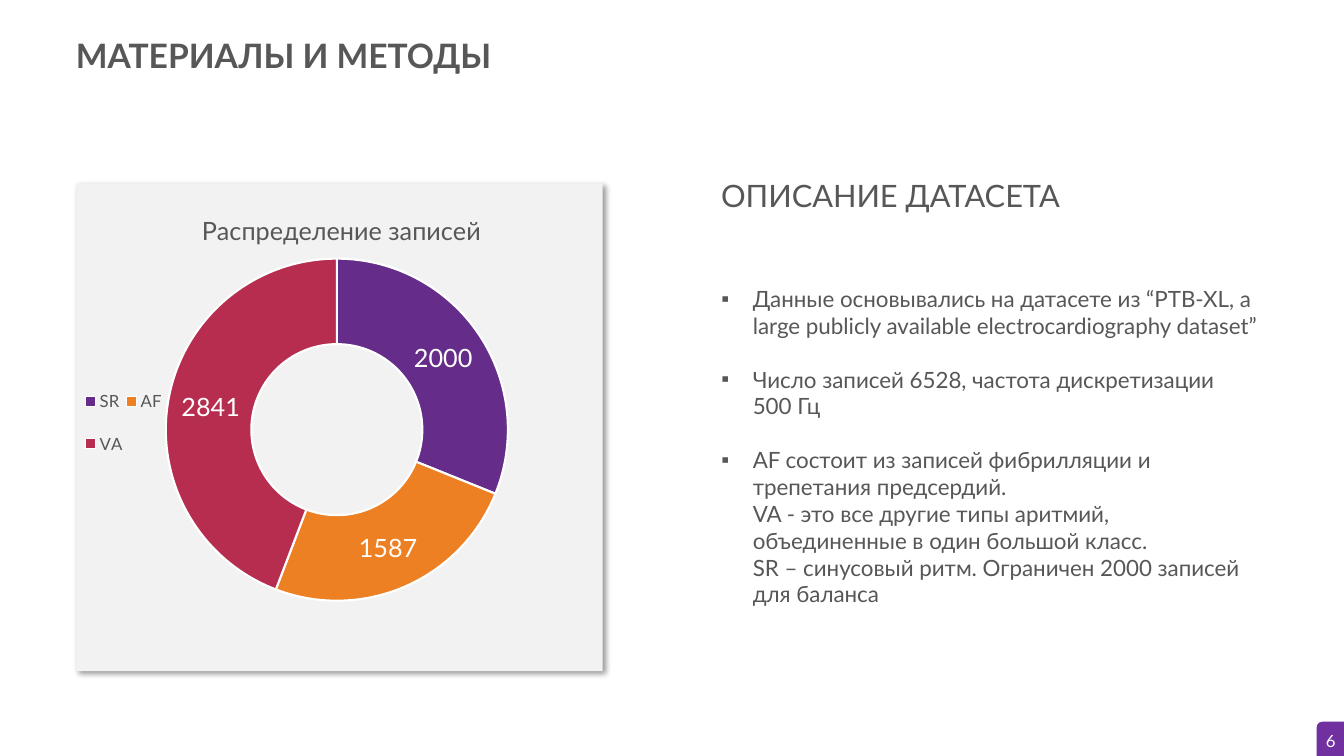
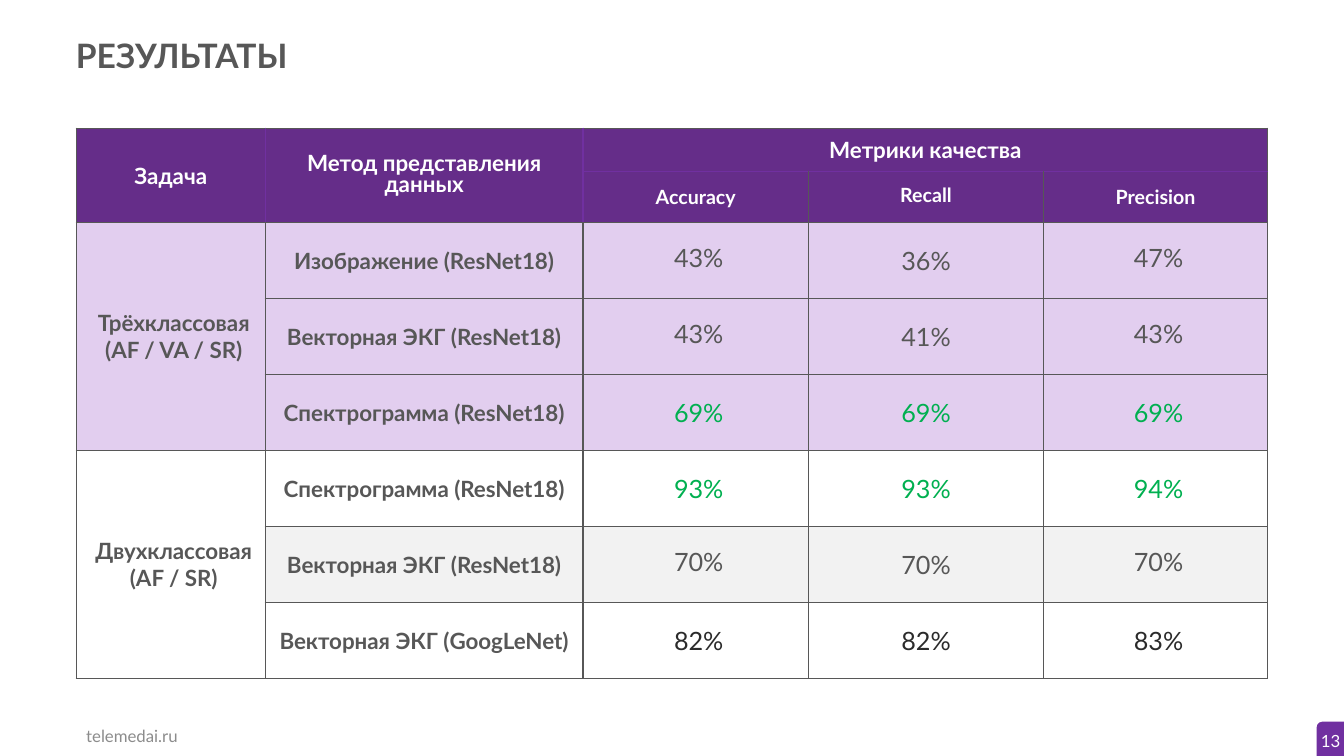
import copy

import pptx
import pptx.chart.data
import pptx.dml.color
import pptx.enum.chart
import pptx.enum.shapes
import pptx.enum.text
import pptx.oxml
import pptx.oxml.ns
import pptx.util

Pt = pptx.util.Pt
qn = pptx.oxml.ns.qn
Align = pptx.enum.text.PP_ALIGN
Anchor = pptx.enum.text.MSO_ANCHOR
Shape = pptx.enum.shapes.MSO_SHAPE

FONT = "Lato"
GREY, DARK, FOOT, PALE, WHITE = "575757", "2B2B2B", "8C8C8C", "F2F2F2", "FFFFFF"
PURPLE, BADGE, LILAC = "652D89", "7030A0", "E2CEEF"
ORANGE, RED, GREEN = "ED8023", "B62D50", "00B050"
LEFT, WIDTH = 54.5, 851
HALF = 508, 398


def color(code):
    return pptx.dml.color.RGBColor.from_string(code)


def node(tag, **attrs):
    item = pptx.oxml.parse_xml(f"<{tag} {pptx.oxml.ns.nsdecls(tag.split(':')[0])}/>")
    for name, value in attrs.items():
        item.set(name, str(value))
    return item


def set_font(font, size, tint=GREY, bold=False):
    font.name, font.size, font.bold = FONT, Pt(size), bold
    font.color.rgb = color(tint)


def place(item, index, **parts):
    """Give a chart part a manual layout, as shares of the chart area."""
    for old in item.findall(qn("c:layout")):
        item.remove(old)
    layout, manual = node("c:layout"), node("c:manualLayout")
    for name, value in parts.items():
        manual.append(node(f"c:{name}", val=value))
    layout.append(manual)
    item.insert(index, layout)


class Deck:
    def __init__(self):
        self.file = pptx.Presentation()
        self.file.slide_width, self.file.slide_height = Pt(960), Pt(540)
        self.slide = None

    def start(self, layout, title, number):
        self.slide = self.file.slides.add_slide(self.file.slide_layouts[layout])
        self.fill(self.slide.shapes.title, (47, 0, 739, 78.5), title, 24,
                  bold=True, anchor=Anchor.MIDDLE)
        self.badge(number)

    def format(self, frame, size, tint=GREY, bold=False, align=Align.LEFT, line=None):
        for par in frame.paragraphs:
            par.alignment = align
            par.space_before = Pt(0)
            if line:
                par.line_spacing = line
            for run in par.runs:
                set_font(run.font, size, tint, bold)
            for gap in par._p.findall(qn("a:br")):
                gap.append(copy.deepcopy(par.runs[0]._r.rPr))

    def fill(self, shape, box, text, size, tint=GREY, bold=False, anchor=Anchor.TOP):
        shape.left, shape.top, shape.width, shape.height = map(Pt, box)
        frame = shape.text_frame
        frame.text = text
        frame.word_wrap = True
        frame.auto_size = pptx.enum.text.MSO_AUTO_SIZE.NONE
        frame.vertical_anchor = anchor
        self.format(frame, size, tint, bold)

    def label(self, box, text, size, tint=GREY, anchor=Anchor.TOP):
        shape = self.slide.shapes.add_textbox(*map(Pt, box))
        self.fill(shape, box, text, size, tint, anchor=anchor)

    def block(self, kind, box, tint):
        shape = self.slide.shapes.add_shape(kind, *map(Pt, box))
        shape.fill.solid()
        shape.fill.fore_color.rgb = color(tint)
        shape.line.fill.background()
        shape.shadow.inherit = False
        return shape

    def badge(self, number):
        """Page number on a tab that runs past the slide corner."""
        shape = self.block(Shape.ROUNDED_RECTANGLE, (940.5, 515.5, 24, 29), BADGE)
        frame = shape.text_frame
        frame.margin_left = frame.margin_top = 0
        frame.margin_right, frame.margin_bottom = Pt(4), Pt(2)
        frame.vertical_anchor = Anchor.MIDDLE
        frame.text = str(number)
        self.format(frame, 12, WHITE, align=Align.CENTER)

    def panel(self, box):
        shape = self.block(Shape.RECTANGLE, box, PALE)
        shadow = node("a:outerShdw", blurRad=Pt(4), dist=Pt(3), dir=45 * 60000,
                      algn="tl", rotWithShape=0)
        black = node("a:srgbClr", val="000000")
        black.append(node("a:alpha", val=40000))
        shadow.append(black)
        shape._element.spPr.find(qn("a:effectLst")).append(shadow)

    def points(self, box, items):
        body = self.slide.placeholders[1]
        self.fill(body, box, "", 16)
        frame = body.text_frame
        for index, item in enumerate(items):
            par = frame.add_paragraph() if index else frame.paragraphs[0]
            par.text = item
            props = par._p.get_or_add_pPr()
            props.set("marL", str(Pt(22.5)))
            props.set("indent", str(Pt(-22.5)))
            props.append(node("a:buFont", typeface="Arial"))
            props.append(node("a:buChar", char="▪"))
        self.format(frame, 16)
        for par in frame.paragraphs[1:]:
            par.space_before = Pt(19.2)

    def ring(self, box, title, shares):
        data = pptx.chart.data.CategoryChartData()
        data.categories = [name for name, _, _ in shares]
        data.add_series("Series 1", [value for _, value, _ in shares])
        kind = pptx.enum.chart.XL_CHART_TYPE.DOUGHNUT
        chart = self.slide.shapes.add_chart(kind, *map(Pt, box), data).chart
        set_font(chart.font, 10)

        chart.has_title = True
        frame = chart.chart_title.text_frame
        frame.text = title
        set_font(frame.paragraphs[0].runs[0].font, 18)
        place(chart.chart_title._element, 1, xMode="edge", yMode="edge", x=0.23, y=0.05)

        chart.has_legend = True
        chart.legend.position = pptx.enum.chart.XL_LEGEND_POSITION.LEFT
        chart.legend.include_in_layout = False
        set_font(chart.legend.font, 12)
        place(chart.legend._element, 1, xMode="edge", yMode="edge",
              x=0.01, y=0.38, w=0.16, h=0.22)

        plot = chart.plots[0]
        plot.vary_by_categories = True
        plot._element.find(qn("c:holeSize")).set("val", "47")
        place(plot._element.getparent(), 0, layoutTarget="inner", xMode="edge",
              yMode="edge", x=0.17, y=0.14, w=0.65, h=0.73)
        plot.has_data_labels = True
        plot.data_labels.show_value = True
        plot.data_labels.show_percentage = False
        set_font(plot.data_labels.font, 18, WHITE)
        for index, (_, _, tint) in enumerate(shares):
            look = plot.series[0].points[index].format
            look.fill.solid()
            look.fill.fore_color.rgb = color(tint)
            look.line.color.rgb = color(WHITE)
            look.line.width = Pt(1.5)

    def grid(self, left, top, widths, heights):
        shape = self.slide.shapes.add_table(
            len(heights), len(widths), Pt(left), Pt(top), Pt(sum(widths)), Pt(sum(heights)))
        table = shape.table
        table.first_row = table.horz_banding = False
        for column, width in zip(table.columns, widths):
            column.width = Pt(width)
        for row, height in zip(table.rows, heights):
            row.height = Pt(height)
        return table

    def cell(self, table, row, col, text, size, tint, bold, back, line=None):
        cell = table.cell(row, col)
        self.edge(cell, row, col)
        if back:
            cell.fill.solid()
            cell.fill.fore_color.rgb = color(back)
        else:
            cell.fill.background()
        wide = row > 1 and col % 2 == 0
        cell.margin_left = Pt(7.2 if wide else 3)
        cell.margin_right = cell.margin_top = cell.margin_bottom = Pt(3)
        cell.vertical_anchor = Anchor.MIDDLE
        cell.text_frame.text = text
        self.format(cell.text_frame, size, tint, bold, Align.CENTER, line)

    def edge(self, cell, row, col):
        """Draw the cell borders; lines inside the header are purple."""
        props = cell._tc.get_or_add_tcPr()
        for side, index in zip("LRTB", (col, col + 1, row, row + 1)):
            inner = index in (1, 2) if side in "LR" else index == 1 and col > 1
            border = node(f"a:ln{side}", w=Pt(1))
            paint = node("a:solidFill")
            paint.append(node("a:srgbClr", val=BADGE if row < 2 and inner else GREY))
            border.append(paint)
            props.append(border)


def add_data(deck):
    deck.start(1, "МАТЕРИАЛЫ И МЕТОДЫ", 6)
    box = (LEFT, 131, 376, 348.5)
    deck.panel(box)
    deck.ring(box, "Распределение записей",
              [("SR", 2000, PURPLE), ("AF", 1587, ORANGE), ("VA", 2841, RED)])
    left, width = HALF
    deck.label((left, 123, width, 34), "ОПИСАНИЕ ДАТАСЕТА", 22)
    deck.points((left, 200, width, 240), [
        "Данные основывались на датасете из “PTB-XL, a large publicly available "
        "electrocardiography dataset”",
        "Число записей 6528, частота дискретизации 500 Гц",
        "AF состоит из записей фибрилляции и трепетания предсердий.\n"
        "VA - это все другие типы аритмий, объединенные в один большой класс.\n"
        "SR – синусовый ритм. Ограничен 2000 записей для баланса",
    ])


def add_scores(deck):
    deck.start(5, "РЕЗУЛЬТАТЫ", 13)
    deck.label((LEFT, 511, 92, 29), "telemedai.ru", 12, FOOT, Anchor.MIDDLE)
    heads = [
        ["Задача", "Метод представления данных", "Метрики качества", "", ""],
        ["", "", "Accuracy", "Recall", "Precision"],
    ]
    tasks = {2: "Трёхклассовая\n(AF / VA / SR)", 5: "Двухклассовая\n(AF / SR)"}
    scores = [
        ("Изображение (ResNet18)", "43%", "36%", "47%", GREY, LILAC),
        ("Векторная ЭКГ (ResNet18)", "43%", "41%", "43%", GREY, LILAC),
        ("Спектрограмма (ResNet18)", "69%", "69%", "69%", GREEN, LILAC),
        ("Спектрограмма (ResNet18)", "93%", "93%", "94%", GREEN, None),
        ("Векторная ЭКГ (ResNet18)", "70%", "70%", "70%", GREY, PALE),
        ("Векторная ЭКГ (GoogLeNet)", "82%", "82%", "83%", DARK, None),
    ]
    widths = [135, 227, 161, 168]
    widths.append(WIDTH - sum(widths))
    table = deck.grid(LEFT, 91.5, widths, [31, 36.5] + [54.3] * len(scores))
    for row, texts in enumerate(heads):
        for col, text in enumerate(texts):
            tight = 0.8 if (row, col) in ((0, 1), (1, 3)) else None
            deck.cell(table, row, col, text, 14 if row else 16, WHITE, True, PURPLE, tight)
    for row, (method, *values, tint, back) in enumerate(scores, 2):
        deck.cell(table, row, 0, tasks.get(row, ""), 16, GREY, True,
                  LILAC if row < 5 else None)
        deck.cell(table, row, 1, method, 16, GREY, True, back)
        for col, value in enumerate(values, 2):
            tight = 0.8 if tint == GREY and col != 3 else None
            deck.cell(table, row, col, value, 18, tint, False, back, tight)
    for first, last in [((0, 0), (1, 0)), ((0, 1), (1, 1)), ((0, 2), (0, 4)),
                        ((2, 0), (4, 0)), ((5, 0), (7, 0))]:
        table.cell(*first).merge(table.cell(*last))


def main():
    deck = Deck()
    add_data(deck)
    add_scores(deck)
    deck.file.save("out.pptx")


if __name__ == "__main__":
    main()
